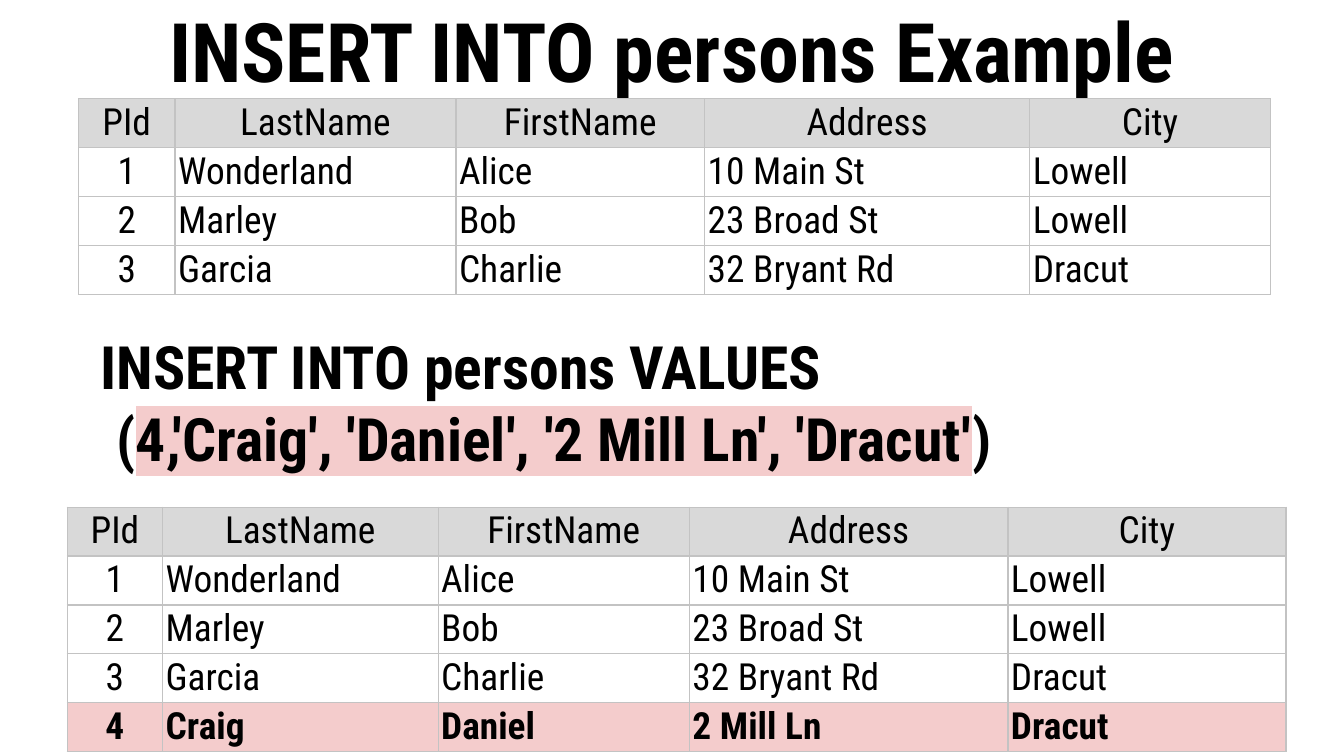
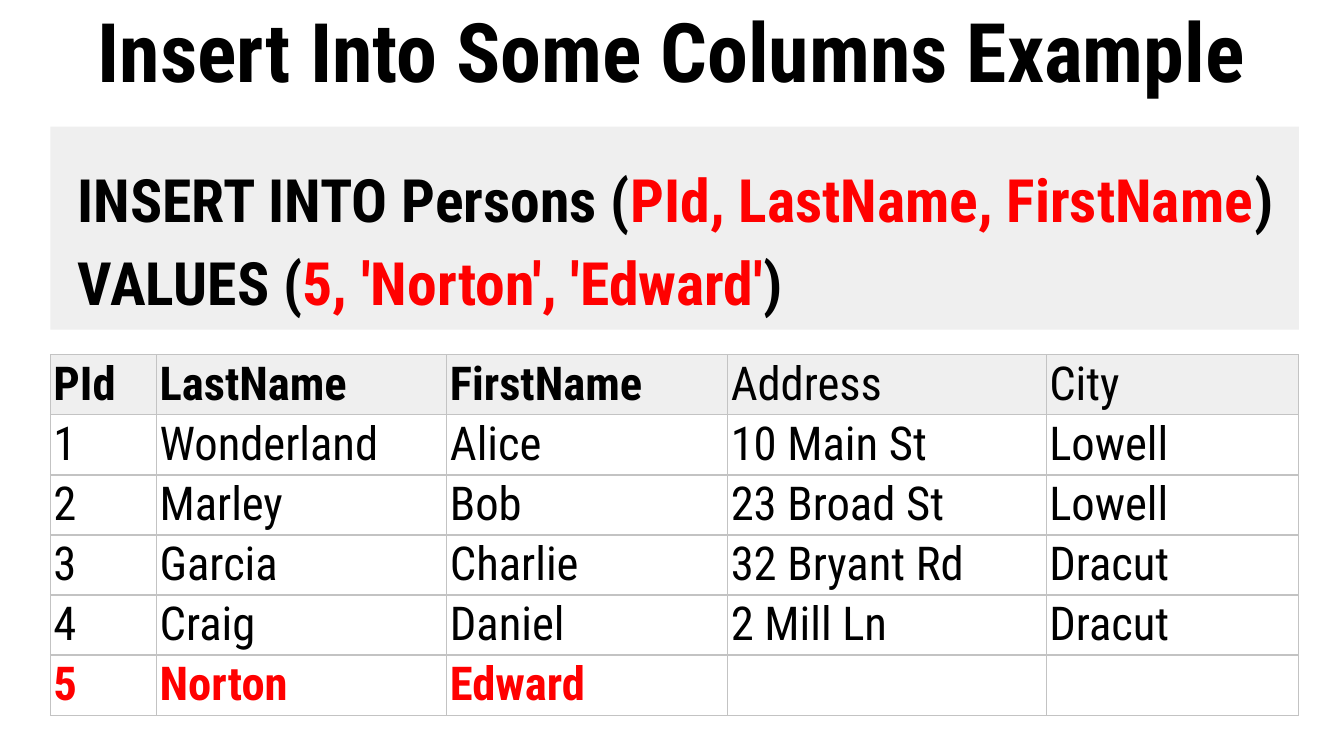
from collections import namedtuple

from lxml.etree import SubElement
from pptx import Presentation
from pptx.dml.color import RGBColor
from pptx.enum.shapes import MSO_SHAPE
from pptx.enum.text import MSO_ANCHOR, MSO_AUTO_SIZE, PP_ALIGN
from pptx.oxml import parse_xml
from pptx.oxml.ns import nsdecls, qn
from pptx.util import Inches, Pt

BLACK = RGBColor(0x00, 0x00, 0x00)
WHITE = RGBColor(0xFF, 0xFF, 0xFF)
RED = RGBColor(0xFF, 0x00, 0x00)
PINK = RGBColor(0xF4, 0xCC, 0xCC)
GRAY = RGBColor(0xD9, 0xD9, 0xD9)
PALE = RGBColor(0xEF, 0xEF, 0xEF)
BORDER = RGBColor(0xC3, 0xC3, 0xC3)

FONT = "Roboto Condensed"
SLIDE_W = Inches(10)
SLIDE_H = SLIDE_W * 9 // 16

# Grid: 100 columns across the slide, square units
UNIT = SLIDE_W / 100
Box = namedtuple("Box", "x y w h")
TITLE_BOX = Box(0, 0, 100, 7.34)
BODY_BOX = Box(2.7, 7.34, 97.3, 48.9)
ROW_H = 2.5  # minimum height; rows grow to fit their text
CELL_PAD_X, CELL_PAD_Y = 0.23, 0.15

HEADER = ("PId", "LastName", "FirstName", "Address", "City")
PERSONS = [
    ("1", "Wonderland", "Alice", "10 Main St", "Lowell"),
    ("2", "Marley", "Bob", "23 Broad St", "Lowell"),
    ("3", "Garcia", "Charlie", "32 Bryant Rd", "Dracut"),
]
CRAIG = ("4", "Craig", "Daniel", "2 Mill Ln", "Dracut")
NORTON = ("5", "Norton", "Edward", "", "")


def grid(n):
    return round(n * UNIT)


def place(box):
    return [grid(n) for n in box]


def set_attrs(obj, **values):
    for name, value in values.items():
        setattr(obj, name, value)


def add_run(p, text, size, bold=False, color=BLACK, highlight=None):
    r = p.add_run()
    r.text = text
    set_attrs(r.font, size=Pt(size), bold=bold, name=FONT)
    r.font.color.rgb = color
    if highlight is not None:
        fill = r.font._element.find(qn("a:solidFill"))
        fill.addnext(parse_xml(
            f'<a:highlight {nsdecls("a")}><a:srgbClr val="{highlight}"/></a:highlight>'))


def add_title(s, text):
    sp = s.shapes.title
    set_attrs(sp, **dict(zip(("left", "top", "width", "height"), place(TITLE_BOX))))
    tf = sp.text_frame
    set_attrs(tf, vertical_anchor=MSO_ANCHOR.MIDDLE, auto_size=MSO_AUTO_SIZE.NONE,
              word_wrap=True)
    p = tf.paragraphs[0]
    p.alignment = PP_ALIGN.CENTER
    add_run(p, text, 44, bold=True)


def add_statement(s, box, top, lines, gap=0):
    """Place SQL lines, each an indent and its runs, from row `top` of the box."""
    tf = s.shapes.add_textbox(*place(box)).text_frame
    set_attrs(tf, word_wrap=True, margin_top=grid(top))
    for i, (indent, runs) in enumerate(lines):
        p = tf.add_paragraph() if i else tf.paragraphs[0]
        p.space_before = Pt(gap if i else 0)
        p._p.get_or_add_pPr().set("marL", str(grid(indent)))
        for text, style in runs:
            add_run(p, text, 32, bold=True, **style)


def set_borders(cell):
    tcPr = cell._tc.get_or_add_tcPr()
    for i, side in enumerate(("lnL", "lnR", "lnT", "lnB")):
        ln = SubElement(tcPr, qn(f"a:{side}"), w=str(Pt(0.75)))
        fill = SubElement(ln, qn("a:solidFill"))
        SubElement(fill, qn("a:srgbClr"), val=str(BORDER))
        tcPr.insert(i, ln)


def add_persons_table(s, x, y, widths, rows, size, style):
    """`style` maps row and column to fill, alignment and run format."""
    box = Box(x, y, sum(widths), ROW_H * len(rows))
    table = s.shapes.add_table(len(rows), len(widths), *place(box)).table
    set_attrs(table, first_row=False, horz_banding=False)
    for col, width in zip(table.columns, widths):
        col.width = grid(width)
    pad_x, pad_y = grid(CELL_PAD_X), grid(CELL_PAD_Y)
    for i, row in enumerate(rows):
        table.rows[i].height = grid(ROW_H)
        for j, text in enumerate(row):
            fill, align, font = style(i, j)
            cell = table.cell(i, j)
            set_attrs(cell, margin_left=pad_x, margin_right=pad_x,
                      margin_top=pad_y, margin_bottom=pad_y)
            cell.fill.solid()
            cell.fill.fore_color.rgb = fill
            set_borders(cell)
            p = cell.text_frame.paragraphs[0]
            p.alignment = align
            if text:
                add_run(p, text, size, **font)


def full_row_style(i, j):
    fill = GRAY if i == 0 else PINK if i == 4 else WHITE
    align = PP_ALIGN.CENTER if i == 0 or j == 0 else PP_ALIGN.LEFT
    return fill, align, {"bold": i == 4}


def some_columns_style(i, j):
    fill = PALE if i == 0 else WHITE
    bold = i == 5 or (i == 0 and j < 3)
    return fill, PP_ALIGN.LEFT, {"bold": bold, "color": RED if i == 5 else BLACK}


def new_slide(prs, title):
    s = prs.slides.add_slide(prs.slide_layouts[5])
    add_title(s, title)
    return s


def full_row_slide(prs):
    s = new_slide(prs, "INSERT INTO persons Example")
    # Statement between the tables
    add_statement(s, BODY_BOX, 17.2, [
        (3.8, [("INSERT INTO persons VALUES", {})]),
        (5, [("(", {}),
             ("4,'Craig', 'Daniel', '2 Mill Ln', 'Dracut'", {"highlight": PINK}),
             (")", {})]),
    ])
    # Table before and after the insert
    before = [HEADER, *PERSONS]
    add_persons_table(s, 5.83, 7.34, (7.2, 20.9, 18.5, 24.2, 17.9),
                      before, 20, full_row_style)
    add_persons_table(s, 5, 37.74, (7.1, 20.5, 18.7, 23.7, 20.7),
                      [*before, CRAIG], 20, full_row_style)


def some_columns_slide(prs):
    s = new_slide(prs, "Insert Into Some Columns Example")
    # Band behind the statement
    band = s.shapes.add_shape(MSO_SHAPE.RECTANGLE, *place(Box(3.75, 9.43, 92.9, 15.1)))
    band.shadow.inherit = False
    band.fill.solid()
    band.fill.fore_color.rgb = PALE
    band.line.fill.background()
    # Statement
    red = {"color": RED}
    add_statement(s, BODY_BOX, 4.75, [
        (2.1, [("INSERT INTO Persons (", {}), ("PId, LastName, FirstName", red), (")", {})]),
        (2.1, [("VALUES (", {}), ("5, 'Norton', 'Edward'", red), (")", {})]),
    ], gap=6.4)
    # Table after the insert
    add_persons_table(s, 3.75, 26.4, (7.9, 21.6, 20.9, 23.7, 18.8),
                      [HEADER, *PERSONS, CRAIG, NORTON], 25, some_columns_style)


def main():
    prs = Presentation()
    set_attrs(prs, slide_width=SLIDE_W, slide_height=SLIDE_H)
    full_row_slide(prs)
    some_columns_slide(prs)
    prs.save("out.pptx")


if __name__ == "__main__":
    main()
